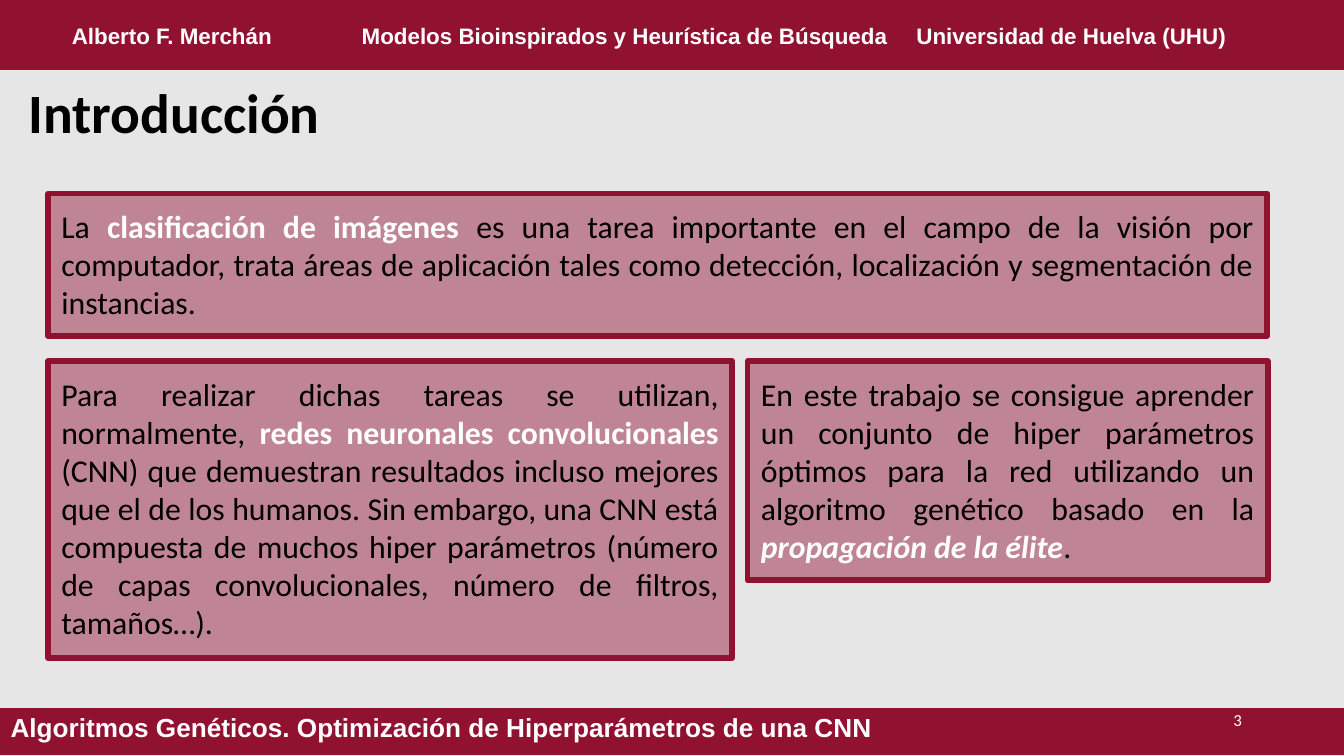
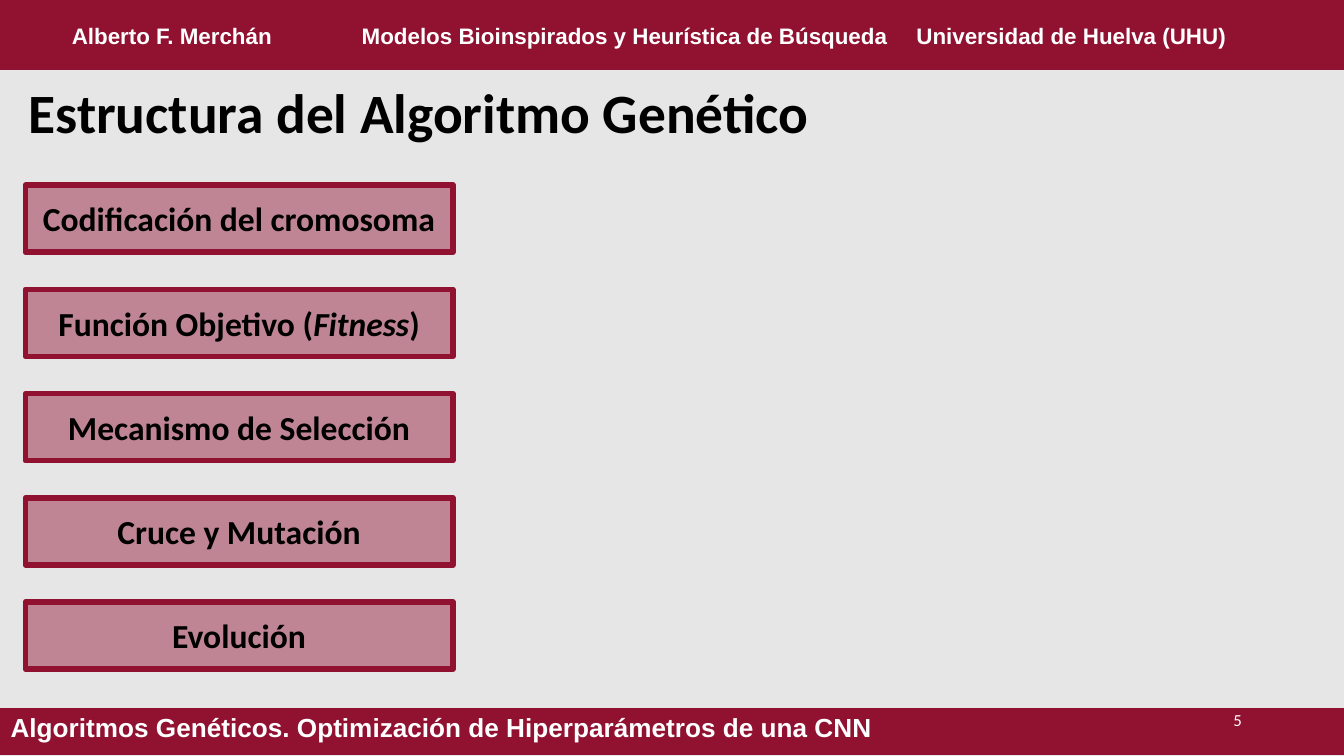
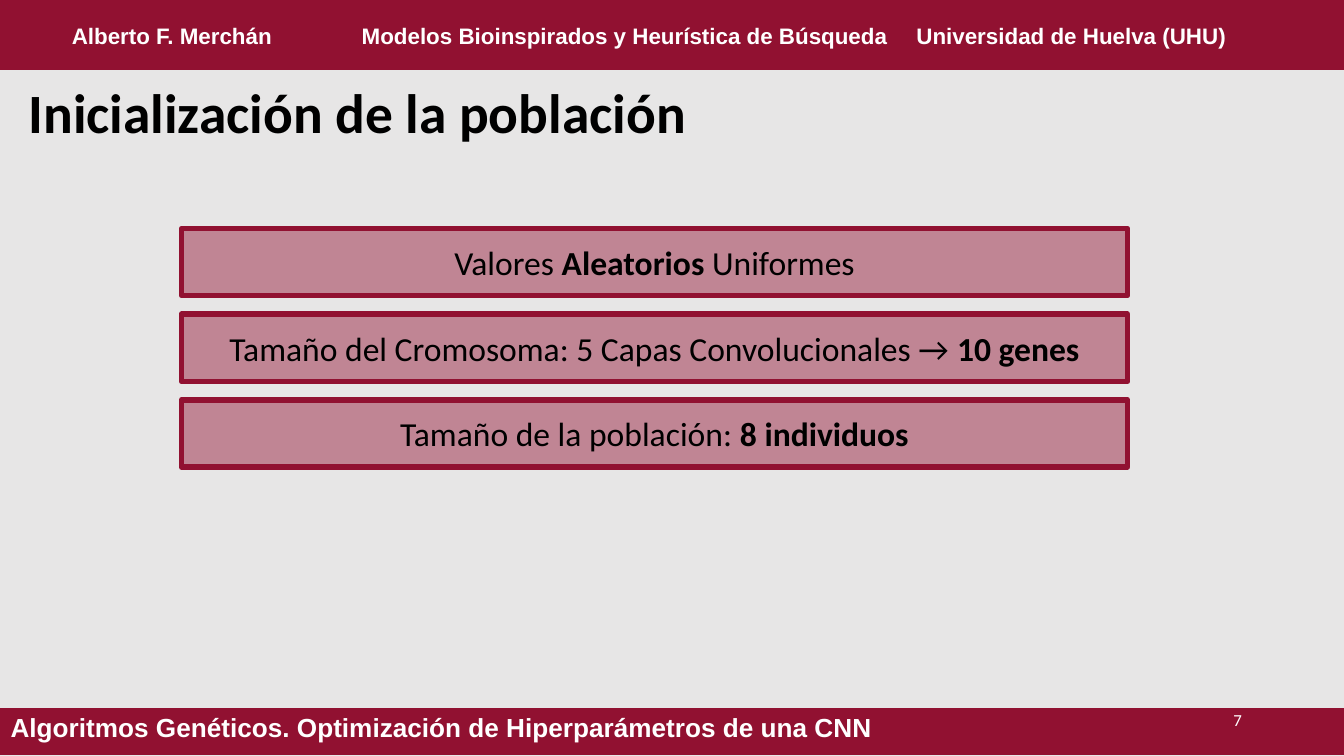
from dataclasses import dataclass

from lxml.etree import SubElement
from pptx import Presentation
from pptx.dml.color import RGBColor
from pptx.enum.shapes import MSO_SHAPE as Shape
from pptx.enum.text import MSO_ANCHOR as Anchor, MSO_AUTO_SIZE as AutoSize, PP_ALIGN as Align
from pptx.oxml.ns import qn
from pptx.util import Cm, Pt

WINE, GREY, BLACK, WHITE = "911131", "E7E6E6", "000000", "FFFFFF"
PLAIN_TABLE = "{2D5ABB26-0587-4C30-8999-92F81FD0307C}"
ROW_HEIGHT = 1.27


@dataclass(frozen=True)
class Style:
    size: float
    font: str = "Calibri"
    color: str = BLACK
    bold: bool = False
    align: Align = Align.LEFT
    spacing: float = 1.0


@dataclass(frozen=True)
class Span:
    text: str
    bold: bool = False
    italic: bool = False
    color: str = ""


@dataclass(frozen=True)
class Area:
    left: float
    top: float
    width: float
    height: float

    def lengths(self) -> tuple:
        return Cm(self.left), Cm(self.top), Cm(self.width), Cm(self.height)


@dataclass(frozen=True)
class Panel:
    area: Area
    spans: list[Span]
    style: Style


@dataclass(frozen=True)
class Band:
    top: float
    height: float
    widths: list[float]
    texts: list[str]
    styles: list[Style]
    anchor: Anchor


TITLE = Style(29.7, bold=True, spacing=0.9)
NUMBER = Style(9, color=WHITE, align=Align.RIGHT)
PROSE = Style(17, align=Align.JUSTIFY)
STEP = Style(18, bold=True, align=Align.CENTER)
FACT = Style(18, align=Align.CENTER)
HEADER_LEFT = Style(12, "Arial", WHITE, True, spacing=1.15)
HEADER_CENTER = Style(12, "Arial", WHITE, True, Align.CENTER, 1.15)
FOOTER = Style(14, "Arial", WHITE, True)

HEADER_BAND = Band(
    0, 1.32, [6.5, 10.62, 8.28],
    ["Alberto F. Merchán", "Modelos Bioinspirados y Heurística de Búsqueda", "Universidad de Huelva (UHU)"],
    [HEADER_CENTER, HEADER_CENTER, HEADER_LEFT], Anchor.MIDDLE)
FOOTER_BAND = Band(
    13.39, 0.89, [16.94, 8.46],
    ["Algoritmos Genéticos. Optimización de Hiperparámetros de una CNN", ""],
    [FOOTER, FOOTER], Anchor.TOP)


def rgb(code: str) -> RGBColor:
    return RGBColor.from_string(code)


def paint(fill, code: str) -> None:
    fill.solid()
    fill.fore_color.rgb = rgb(code)


def write(frame, spans: list[Span], style: Style) -> None:
    para = frame.paragraphs[0]
    para.alignment = style.align
    para.line_spacing = style.spacing
    for span in spans:
        run = para.add_run()
        run.text = span.text
        run.font.name = style.font
        run.font.size = Pt(style.size)
        run.font.bold = style.bold or span.bold
        run.font.italic = span.italic
        run.font.color.rgb = rgb(span.color or style.color)


def set_margins(frame, side: float, end: float) -> None:
    frame.margin_left = frame.margin_right = Cm(side)
    frame.margin_top = frame.margin_bottom = Cm(end)


def add_band(page, band: Band) -> None:
    area = Area(0, band.top, sum(band.widths), band.height)
    table = page.shapes.add_table(1, len(band.widths), *area.lengths()).table
    table.first_row = table.horz_banding = False
    table._tbl.tblPr.find(qn("a:tableStyleId")).text = PLAIN_TABLE
    for index, (width, text, style) in enumerate(zip(band.widths, band.texts, band.styles)):
        table.columns[index].width = Cm(width)
        cell = table.cell(0, index)
        paint(cell.fill, WINE)
        set_margins(cell, 0.2, 0.1)
        cell.vertical_anchor = band.anchor
        if text:
            write(cell.text_frame, [Span(text)], style)
        else:
            para = cell.text_frame.paragraphs[0]
            SubElement(para._p, qn("a:endParaRPr"), sz=str(style.size * 100))


def add_label(page, area: Area, text: str, style: Style) -> None:
    frame = page.shapes.add_textbox(*area.lengths()).text_frame
    frame.word_wrap = True
    frame.vertical_anchor = Anchor.MIDDLE
    set_margins(frame, 0.18, 0.1)
    write(frame, [Span(text)], style)


def add_panel(page, panel: Panel) -> None:
    box = page.shapes.add_shape(Shape.RECTANGLE, *panel.area.lengths())
    box.shadow.inherit = False
    paint(box.fill, WINE)
    tint = box._element.spPr.find(qn("a:solidFill")).find(qn("a:srgbClr"))
    SubElement(tint, qn("a:alpha"), val="45000")
    box.line.color.rgb = rgb(WINE)
    box.line.width = Pt(3)
    frame = box.text_frame
    frame.word_wrap = True
    frame.auto_size = AutoSize.SHAPE_TO_FIT_TEXT
    frame.vertical_anchor = Anchor.TOP
    set_margins(frame, 0.25, 0.25)
    write(frame, panel.spans, panel.style)


def stack(first: Area, pitch: float, rows: list[list[Span]], style: Style) -> list[Panel]:
    return [
        Panel(Area(first.left, first.top + index * pitch, first.width, first.height), spans, style)
        for index, spans in enumerate(rows)
    ]


def add_page(deck, title: str, number: int, panels: list[Panel]) -> None:
    page = deck.slides.add_slide(deck.slide_layouts[6])
    add_band(page, FOOTER_BAND)
    add_label(page, Area(0.36, 1.57, 24.71, 1.22), title, TITLE)
    add_band(page, HEADER_BAND)
    add_label(page, Area(17.93, 13.23, 5.72, 0.76), str(number), NUMBER)
    for panel in panels:
        add_panel(page, panel)


INTRODUCTION = [
    Panel(Area(0.91, 3.66, 23.04, 2.69), [
        Span("La "),
        Span("clasificación de imágenes", bold=True, color=WHITE),
        Span(" es una tarea importante en el campo de la visión por computador, trata áreas de "
             "aplicación tales como detección, localización y segmentación de instancias."),
    ], PROSE),
    Panel(Area(0.91, 6.83, 12.93, 5.61), [
        Span("Para realizar dichas tareas se utilizan, normalmente, "),
        Span("redes neuronales convolucionales", bold=True, color=WHITE),
        Span(" (CNN) que demuestran resultados incluso mejores que el de los humanos. Sin embargo, "
             "una CNN está compuesta de muchos hiper parámetros (número de capas convolucionales, "
             "número de filtros, tamaños…)."),
    ], PROSE),
    Panel(Area(14.13, 6.83, 9.83, 4.14), [
        Span("En este trabajo se consigue aprender un conjunto de hiper parámetros óptimos para la "
             "red utilizando un algoritmo genético basado en la "),
        Span("propagación de la élite", bold=True, italic=True, color=WHITE),
        Span("."),
    ], PROSE),
]

STRUCTURE = stack(Area(0.48, 3.5, 8.08, ROW_HEIGHT), 1.97, [
    [Span("Codificación del cromosoma")],
    [Span("Función Objetivo ("), Span("Fitness", italic=True), Span(")")],
    [Span("Mecanismo de Selección")],
    [Span("Cruce y Mutación")],
    [Span("Evolución")],
], STEP)

POPULATION = stack(Area(3.43, 4.32, 17.88, ROW_HEIGHT), 1.62, [
    [Span("Valores "), Span("Aleatorios ", bold=True), Span("Uniformes")],
    [Span("Tamaño del Cromosoma: 5 Capas Convolucionales → "), Span("10 genes", bold=True)],
    [Span("Tamaño de la población: "), Span("8 individuos", bold=True)],
], FACT)


def main() -> None:
    deck = Presentation()
    deck.slide_width, deck.slide_height = Cm(25.4), Cm(14.29)
    paint(deck.slide_master.background.fill, GREY)
    add_page(deck, "Introducción", 3, INTRODUCTION)
    add_page(deck, "Estructura del Algoritmo Genético", 5, STRUCTURE)
    add_page(deck, "Inicialización de la población", 7, POPULATION)
    deck.save("out.pptx")


if __name__ == "__main__":
    main()
